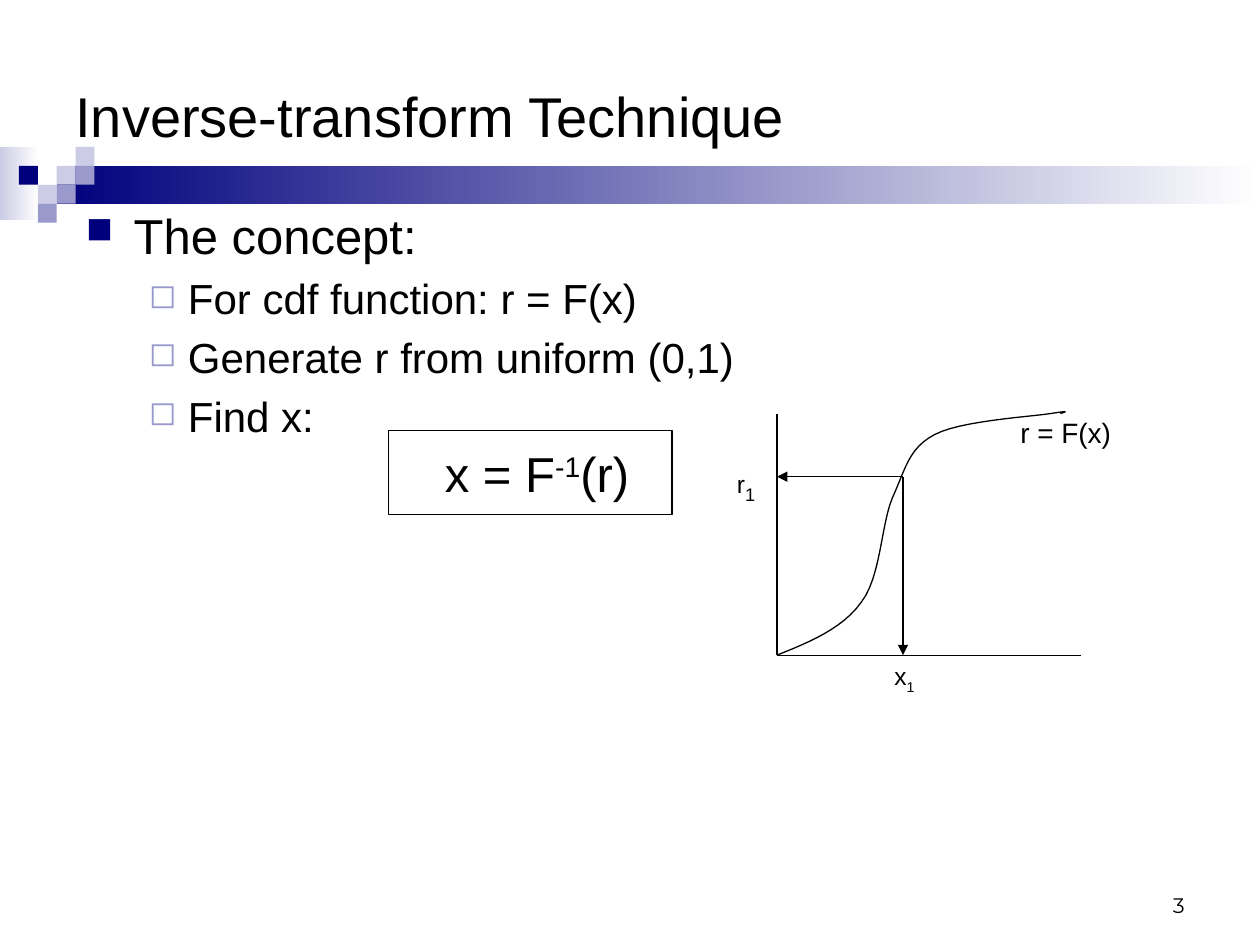
from dataclasses import dataclass
from lxml.etree import SubElement
from pptx import Presentation
from pptx.dml.color import RGBColor
from pptx.enum.shapes import MSO_CONNECTOR, MSO_SHAPE
from pptx.enum.text import MSO_ANCHOR, MSO_AUTO_SIZE, PP_ALIGN
from pptx.oxml.ns import qn
from pptx.util import Inches, Pt

COLORS = {"ink": "000000", "navy": "00007D", "mid": "9999CC",
          "pale": "CCCCE6", "paper": "FFFFFF"}
CELL = Inches(10) / 120


@dataclass
class Box:
    col: float
    row: float
    cols: float
    rows: float

    def point(self, col, row):
        return round((self.col + col) * CELL), round((self.row + row) * CELL)

    def inner(self, col, row, cols, rows):
        return Box(self.col + col, self.row + row, cols, rows)

    def frame(self):
        return (*self.point(0, 0), round(self.cols * CELL), round(self.rows * CELL))


def color(name):
    return RGBColor.from_string(COLORS[name])


def add_run(paragraph, text, size, baseline=0, font="Arial"):
    run = paragraph.add_run()
    run.text = text
    run.font.size = Pt(size)
    run.font.name = font
    run.font.color.rgb = color("ink")
    if baseline:
        run.font._element.set("baseline", str(baseline * 1000))


def add_text(slide, box, pieces, anchor=MSO_ANCHOR.TOP, align=PP_ALIGN.LEFT, font="Arial"):
    frame = slide.shapes.add_textbox(*box.frame()).text_frame
    frame.word_wrap = True
    frame.vertical_anchor = anchor
    paragraph = frame.paragraphs[0]
    paragraph.alignment = align
    for piece in pieces:
        add_run(paragraph, *piece, font=font)
    return frame


def add_rect(slide, box):
    rect = slide.shapes.add_shape(MSO_SHAPE.RECTANGLE, *box.frame())
    rect.shadow.inherit = False
    return rect


def outline(shape):
    shape.line.color.rgb = color("ink")
    shape.line.width = Pt(0.75)


def add_fade(slide, box, start):
    fade = add_rect(slide, box)
    fade.line.fill.background()
    fade.fill.gradient()
    fade.fill.gradient_angle = 0
    for stop, name, position in zip(fade.fill.gradient_stops, (start, "paper"), (0, 1)):
        stop.color.rgb = color(name)
        stop.position = position


def add_banner(slide, box):
    side = 1.8
    add_fade(slide, box.inner(0, 0, 3.7, 7), "pale")
    add_fade(slide, box.inner(3 * side, side, box.cols - 3 * side, 2 * side), "navy")
    for col, row, name in ((3, 1, "pale"), (4, 0, "pale"), (4, 1, "mid"), (2, 2, "pale"),
                           (1, 1, "navy"), (3, 2, "mid"), (2, 3, "mid")):
        tile = add_rect(slide, box.inner(col * side, row * side, side, side))
        tile.fill.solid()
        tile.fill.fore_color.rgb = color(name)
        tile.line.fill.background()


def add_bullet(paragraph, level):
    margin, indent, char, name, percent = (
        (0.38, -0.38, "■", "navy", 75), (0.81, -0.31, "◻", "mid", 80))[level]
    props = paragraph._p.get_or_add_pPr()
    props.set("marL", str(Inches(margin)))
    props.set("indent", str(Inches(indent)))
    tint = SubElement(props, qn("a:buClr"))
    SubElement(tint, qn("a:srgbClr")).set("val", COLORS[name])
    SubElement(props, qn("a:buSzPct")).set("val", str(percent * 1000))
    SubElement(props, qn("a:buChar")).set("char", char)


def add_concept(slide, box):
    frame = add_text(slide, box, [])
    lines = ((0, "The concept:"), (1, "For cdf function: r = F(x)"),
             (1, "Generate r from uniform (0,1)"), (1, "Find x:"))
    for number, (level, text) in enumerate(lines):
        paragraph = frame.add_paragraph() if number else frame.paragraphs[0]
        size = (28, 24)[level]
        paragraph.level = level
        paragraph.space_before = Pt(size * 0.2)
        add_bullet(paragraph, level)
        add_run(paragraph, text, size)


def add_formula(slide, box):
    formula = add_rect(slide, box)
    formula.fill.background()
    outline(formula)
    frame = formula.text_frame
    frame.word_wrap = False
    frame.vertical_anchor = MSO_ANCHOR.MIDDLE
    paragraph = frame.paragraphs[0]
    paragraph.alignment = PP_ALIGN.CENTER
    for piece in ((" x = F", 28), ("-1", 28, 30), ("(r)", 28)):
        add_run(paragraph, *piece)


def add_line(slide, start, end, arrow=None):
    line = slide.shapes.add_connector(MSO_CONNECTOR.STRAIGHT, *start, *end)
    outline(line)
    if arrow:
        SubElement(line.line._get_or_add_ln(), qn(f"a:{arrow}")).set("type", "triangle")
    SubElement(line._element.spPr, qn("a:effectLst"))


def bezier(points, share):
    while len(points) > 1:
        points = [tuple(a + (b - a) * share for a, b in zip(p, q))
                  for p, q in zip(points, points[1:])]
    return points[0]


def add_curve(slide, box, knots, steps=12):
    outlined = [box.point(*bezier(knots[first:first + 4], step / steps))
                for first in range(0, len(knots) - 1, 3)
                for step in range(1, steps + 1)]
    builder = slide.shapes.build_freeform(*box.point(*knots[0]))
    builder.add_line_segments(outlined, close=False)
    curve = builder.convert_to_shape()
    curve.shadow.inherit = False
    curve.fill.background()
    outline(curve)


def add_graph(slide, box):
    left, base, x1, r1 = 5, 23.4, 17, 6.4
    origin, crossing = box.point(left, base), box.point(x1, r1)
    add_line(slide, box.point(left, 0.4), origin)
    add_line(slide, origin, box.point(34, base))
    add_line(slide, box.point(left, r1), crossing, "headEnd")
    add_line(slide, crossing, box.point(x1, base), "tailEnd")
    for place, pieces in (((0, 4.4, 5, 4), (("r", 14), ("1", 18, -25))),
                          ((15, base, 6, 4), (("x", 14), ("1", 14, -25))),
                          ((27, 0, 13, 4.4), (("r = F(x)", 16),))):
        label = add_text(slide, box.inner(*place), pieces)
        label.auto_size = MSO_AUTO_SIZE.SHAPE_TO_FIT_TEXT
    add_curve(slide, box, [
        (left, base), (8, 22.2), (11.2, 20.9), (13, 18.4),
        (14.9, 16), (14.9, 11), (16, 8.4),
        (17.2, 5.8), (17.5, 3.7), (20, 2.4),
        (22.4, 1.1), (29, 0.7), (31, 0.4),
        (33, 0.1), (32.5, 0.2), (32, 0.4)])


def build():
    deck = Presentation()
    deck.slide_width, deck.slide_height = Inches(10), Inches(7.5)
    slide = deck.slides.add_slide(deck.slide_layouts[6])
    add_banner(slide, Box(0, 14, 120, 9))
    add_text(slide, Box(86, 82, 28, 6), [("3", 12)], MSO_ANCHOR.BOTTOM,
             PP_ALIGN.RIGHT, "Montserrat")
    add_text(slide, Box(6, 6, 108, 10), [("Inverse-transform Technique", 32)],
             MSO_ANCHOR.MIDDLE)
    add_concept(slide, Box(7, 19, 108, 58))
    add_formula(slide, Box(37, 41, 27, 8))
    add_graph(slide, Box(69, 39, 40, 28))
    deck.save("out.pptx")


build()
